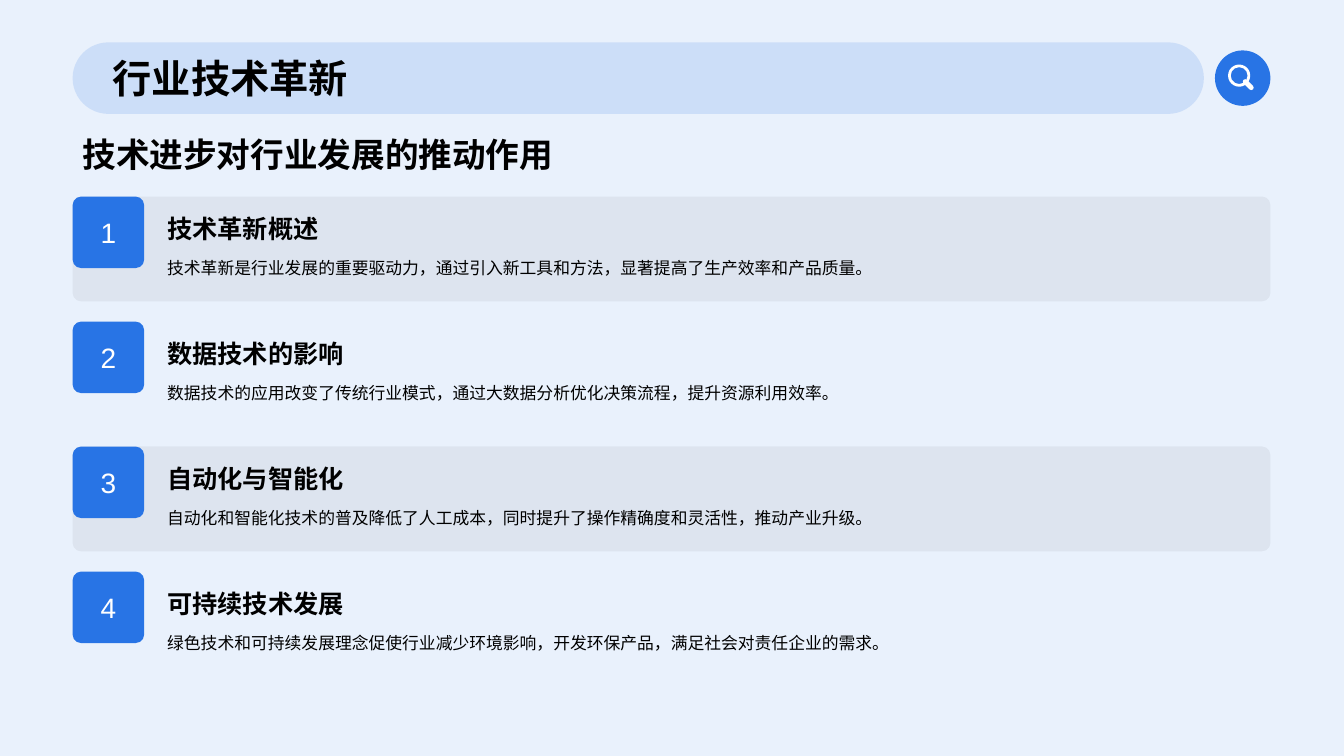
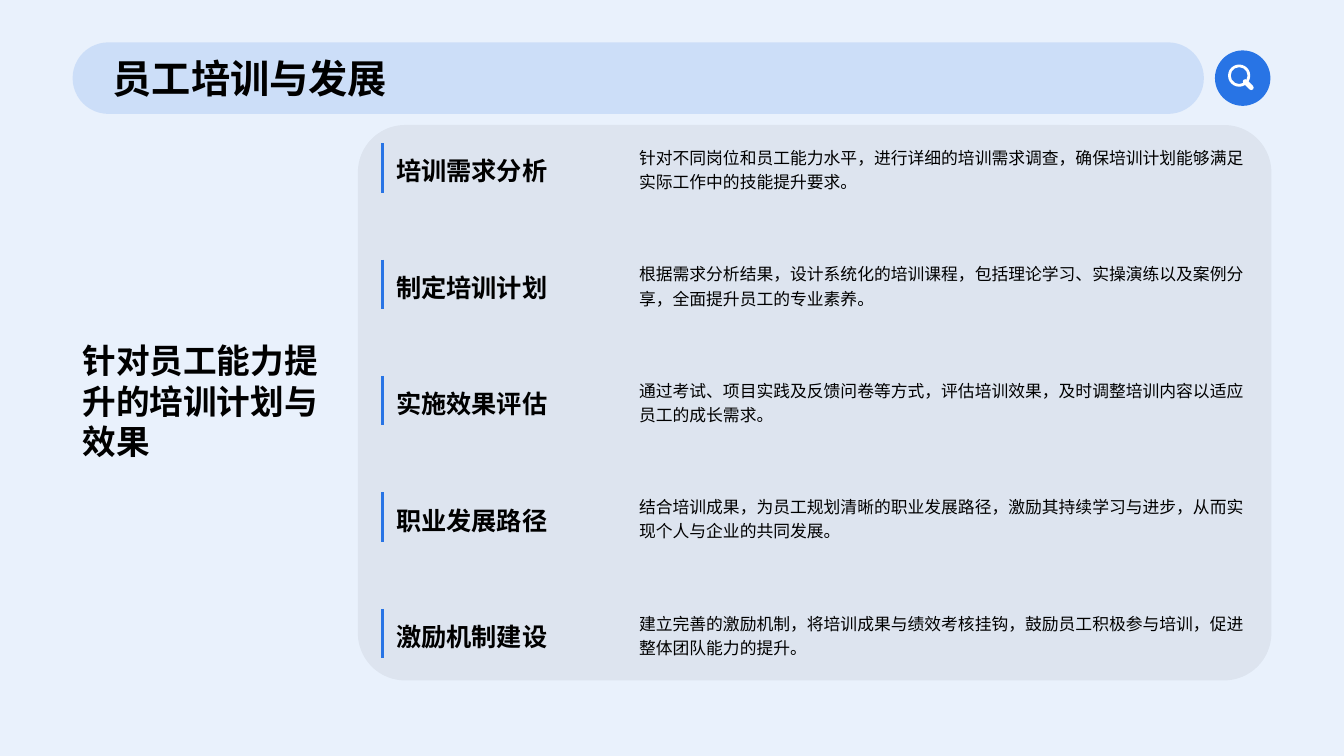
from lxml.etree import SubElement
from pptx import Presentation
from pptx.dml.color import RGBColor
from pptx.enum.shapes import MSO_CONNECTOR, MSO_SHAPE
from pptx.enum.text import MSO_ANCHOR, PP_ALIGN
from pptx.oxml.ns import qn
from pptx.util import Inches, Pt

BLUE = RGBColor(0x28, 0x74, 0xE5)
PALE_BLUE = RGBColor(0xE9, 0xF1, 0xFC)
BLACK = RGBColor(0, 0, 0)
WHITE = RGBColor(255, 255, 255)

LEFT = 0.72
CONTENT_WIDTH = 11.88

INNOVATIONS = [
    ("技术革新概述", "技术革新是行业发展的重要驱动力，通过引入新工具和方法，显著提高了生产效率和产品质量。"),
    ("数据技术的影响", "数据技术的应用改变了传统行业模式，通过大数据分析优化决策流程，提升资源利用效率。"),
    ("自动化与智能化", "自动化和智能化技术的普及降低了人工成本，同时提升了操作精确度和灵活性，推动产业升级。"),
    ("可持续技术发展", "绿色技术和可持续发展理念促使行业减少环境影响，开发环保产品，满足社会对责任企业的需求。"),
]

TRAINING_STEPS = [
    ("培训需求分析", "针对不同岗位和员工能力水平，进行详细的培训需求调查，确保培训计划能够满足实际工作中的技能提升要求。"),
    ("制定培训计划", "根据需求分析结果，设计系统化的培训课程，包括理论学习、实操演练以及案例分享，全面提升员工的专业素养。"),
    ("实施效果评估", "通过考试、项目实践及反馈问卷等方式，评估培训效果，及时调整培训内容以适应员工的成长需求。"),
    ("职业发展路径", "结合培训成果，为员工规划清晰的职业发展路径，激励其持续学习与进步，从而实现个人与企业的共同发展。"),
    ("激励机制建设", "建立完善的激励机制，将培训成果与绩效考核挂钩，鼓励员工积极参与培训，促进整体团队能力的提升。"),
]


def write(frame, text, size=12, bold=False, color=BLACK, font="Arial",
          anchor=MSO_ANCHOR.MIDDLE, align=PP_ALIGN.LEFT, spacing=1.0, wrap=True):
    frame.word_wrap = wrap
    frame.vertical_anchor = anchor
    paragraph = frame.paragraphs[0]
    paragraph.alignment = align
    paragraph.line_spacing = spacing
    run = paragraph.add_run()
    run.text = text
    run.font.size = Pt(size)
    run.font.bold = bold
    run.font.name = font
    run.font.color.rgb = color


class Deck:
    def __init__(self):
        self.prs = Presentation()
        self.prs.slide_width = Inches(13.33)
        self.prs.slide_height = Inches(7.5)
        backdrop = self.prs.slide_master.background.fill
        backdrop.solid()
        backdrop.fore_color.rgb = PALE_BLUE
        self.slide = None

    def start(self, title):
        self.slide = self.prs.slides.add_slide(self.prs.slide_layouts[6])
        self.shape(LEFT, 0.42, 11.22, 0.71, radius=0.5, opacity=15)
        self.shape(12.05, 0.5, 0.55, 0.55, kind=MSO_SHAPE.OVAL)
        self.shape(12.18, 0.64, 0.22, 0.22, kind=MSO_SHAPE.DONUT, radius=0.12, color=WHITE)
        self.line(12.35, 0.81, 12.41, 0.87, color=WHITE, width=3.5, cap="rnd")
        self.text(title, 1.02, 0.46, 10.63, 0.63, size=28, bold=True, font="Times New Roman")

    def shape(self, left, top, width, height, kind=MSO_SHAPE.ROUNDED_RECTANGLE,
              radius=None, color=BLUE, opacity=100):
        shape = self.slide.shapes.add_shape(
            kind, Inches(left), Inches(top), Inches(width), Inches(height))
        shape.shadow.inherit = False
        shape.line.fill.background()
        shape.fill.solid()
        shape.fill.fore_color.rgb = color
        if radius is not None:
            shape.adjustments[0] = radius
        if opacity < 100:
            rgb = shape.fill._xPr.find(qn("a:solidFill"))[0]
            SubElement(rgb, qn("a:alpha")).set("val", str(opacity * 1000))
        return shape

    def panel(self, left, top, width, height, radius):
        self.shape(left, top, width, height, radius=radius, color=BLACK, opacity=5)

    def badge(self, number, left, top):
        square = self.shape(left, top, 0.71, 0.71, radius=0.12)
        write(square.text_frame, str(number), size=20, color=WHITE,
              align=PP_ALIGN.CENTER, wrap=False)

    def line(self, x1, y1, x2, y2, color=BLUE, width=2, cap="flat"):
        line = self.slide.shapes.add_connector(
            MSO_CONNECTOR.STRAIGHT, Inches(x1), Inches(y1), Inches(x2), Inches(y2))
        line.line.color.rgb = color
        line.line.width = Pt(width)
        properties = line._element.spPr
        properties.find(qn("a:ln")).set("cap", cap)
        SubElement(properties, qn("a:effectLst"))

    def text(self, text, left, top, width, height, **style):
        box = self.slide.shapes.add_textbox(
            Inches(left), Inches(top), Inches(width), Inches(height))
        write(box.text_frame, text, **style)


def add_innovation_slide(deck):
    deck.start("行业技术革新")
    deck.text("技术进步对行业发展的推动作用", LEFT, 1.24, CONTENT_WIDTH, 0.57, size=24, bold=True)
    for index, (heading, detail) in enumerate(INNOVATIONS):
        top = 1.95 + 1.24 * index
        if index % 2 == 0:
            deck.panel(LEFT, top, CONTENT_WIDTH, 1.04, radius=0.08)
        deck.badge(index + 1, LEFT, top)
        deck.text(heading, 1.56, top + 0.06, 10.88, 0.46, size=18, bold=True,
                  anchor=MSO_ANCHOR.BOTTOM)
        deck.text(detail, 1.56, top + 0.52, 10.88, 0.46, anchor=MSO_ANCHOR.TOP, spacing=1.2)


def add_training_slide(deck):
    deck.start("员工培训与发展")
    deck.panel(3.55, 1.24, 9.06, 5.51, radius=0.085)
    deck.text("针对员工能力提升的培训计划与效果", LEFT, 3.07, 2.69, 1.81, size=24, bold=True)
    first, last = 1.24, 5.86
    pitch = (last - first) / (len(TRAINING_STEPS) - 1)
    for index, (heading, detail) in enumerate(TRAINING_STEPS):
        top = first + pitch * index
        deck.line(3.79, top + 0.18, 3.79, top + 0.67)
        deck.text(heading, 3.83, top, 2.4, 0.85, size=18, bold=True, spacing=1.2)
        deck.text(detail, 6.24, top, 6.36, 0.85, spacing=1.2)


def main():
    deck = Deck()
    add_innovation_slide(deck)
    add_training_slide(deck)
    deck.prs.save("out.pptx")


if __name__ == "__main__":
    main()
